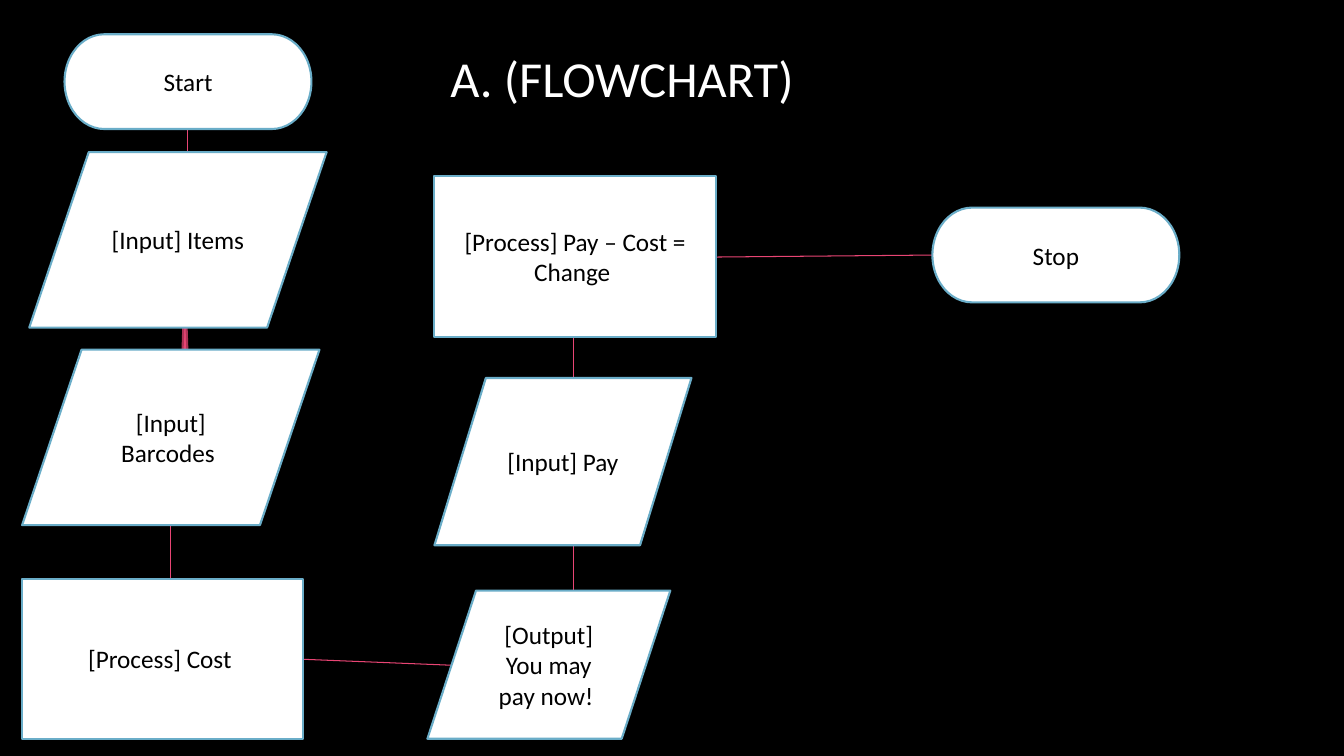
import pptx
import pptx.util
import pptx.dml.color
import pptx.enum.shapes
import pptx.enum.text
import pptx.oxml.ns
from lxml import etree

Pt = pptx.util.Pt
SHAPE = pptx.enum.shapes.MSO_SHAPE
COLORS = {
    "background": "000000",
    "box": "FFFFFF",
    "outline": "6AADC8",
    "link": "E84574",
    "link_edge": "AC3356",
    "box_text": "000000",
    "title": "FFFFFF",
}


def rgb(name):
    return pptx.dml.color.RGBColor.from_string(COLORS[name])


def write_centred(holder, wording, size, color):
    frame = holder.text_frame
    frame.word_wrap = True
    frame.vertical_anchor = pptx.enum.text.MSO_ANCHOR.MIDDLE
    paragraph = frame.paragraphs[0]
    paragraph.alignment = pptx.enum.text.PP_ALIGN.CENTER
    run = paragraph.add_run()
    run.text = wording
    run.font.name = "Calibri"
    run.font.size = Pt(size)
    run.font.color.rgb = rgb(color)


deck = pptx.Presentation()
deck.slide_width, deck.slide_height = Pt(960), Pt(540)
slide = deck.slides.add_slide(deck.slide_layouts[6])
slide.background.fill.solid()
slide.background.fill.fore_color.rgb = rgb("background")

title = slide.shapes.add_textbox(Pt(45.4), Pt(-2.2), Pt(797.8), Pt(114.5))
write_centred(title, "A. (FLOWCHART)", 36, "title")

# Links lie behind the steps they join
links = [
    (133.9, 78.5, 133.9, 114.5),
    (121.7, 375.1, 121.7, 419.8),
    (216, 470.9, 323.3, 475.2),
    (409.7, 227.5, 409.7, 421.9),
    (511.2, 183.6, 666, 182.2),
]
for x1, y1, x2, y2 in links:
    link = slide.shapes.add_connector(
        pptx.enum.shapes.MSO_CONNECTOR.STRAIGHT, Pt(x1), Pt(y1), Pt(x2), Pt(y2))
    link.line.color.rgb = rgb("link")
    link.line.width = Pt(0.75)
    etree.SubElement(link._element.spPr, pptx.oxml.ns.qn("a:effectLst"))

terminator = (SHAPE.FLOWCHART_TERMINATOR, 176.4, 67.7)
process = (SHAPE.FLOWCHART_PROCESS, 200.9, 114.5)
item_input = (SHAPE.FLOWCHART_DATA, 212.4, 125.3)
pay_input = (SHAPE.FLOWCHART_DATA, 183.6, 119.5)
output = (SHAPE.FLOWCHART_DATA, 173.5, 105.8)
wedge = (SHAPE.TRAPEZOID, 3.6, 27.4)

steps = [
    (wedge, 130.3, 225.4, ""),
    (terminator, 46.1, 24.5, "Start"),
    (item_input, 20.9, 108.7, "[Input] Items"),
    (item_input, 15.8, 249.8, "[Input] Barcodes "),
    (process, 15.8, 413.3, "[Process] Cost "),
    (output, 305.3, 421.9, "[Output] You may pay now! "),
    (pay_input, 310.3, 270, "[Input] Pay"),
    (process, 310.3, 126, "[Process] Pay – Cost = Change "),
    (terminator, 666, 148.3, "Stop"),
]
for (outline, width, height), left, top, wording in steps:
    step = slide.shapes.add_shape(outline, Pt(left), Pt(top), Pt(width), Pt(height))
    step.shadow.inherit = False
    step.fill.solid()
    step.fill.fore_color.rgb = rgb("box" if wording else "link")
    step.line.color.rgb = rgb("outline" if wording else "link_edge")
    step.line.width = Pt(1.5)
    if wording:
        write_centred(step, wording, 18, "box_text")

deck.save("out.pptx")
